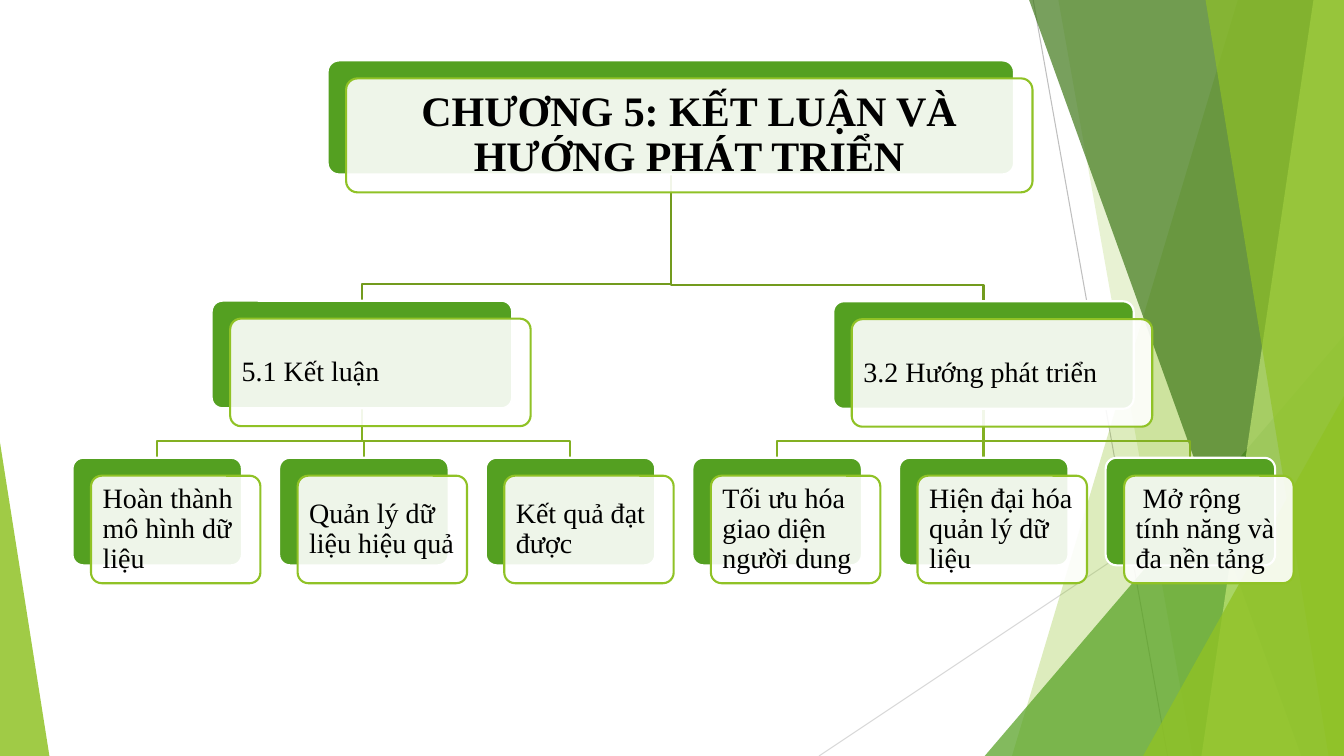
"""Build the chapter 5 outline slide: a three-level tree over a green faceted background."""
import pptx
import pptx.util
import pptx.dml.color
import pptx.enum.shapes
import pptx.enum.text
import pptx.oxml.ns
import lxml.etree

Pt = pptx.util.Pt
SHAPES = pptx.enum.shapes.MSO_SHAPE
STRAIGHT = pptx.enum.shapes.MSO_CONNECTOR.STRAIGHT
ALIGN = pptx.enum.text.PP_ALIGN
COLORS = {
    "white": "FFFFFF", "black": "000000", "lime": "90C226", "green": "54A021",
    "forest": "3F7819", "pale": "C0E474", "upper": "739B1E", "lower": "83B022",
    "grey": "BFBFBF", "light": "D9D9D9",
}


def paint(shape, fill=None, opacity=100, line=None, width=1.5):
    """Set the fill, its opacity and the outline of a shape or connector."""
    if line:
        shape.line.color.rgb = pptx.dml.color.RGBColor.from_string(COLORS[line])
        shape.line.width = Pt(width)
    else:
        shape.line.fill.background()
    if shape.shape_type == pptx.enum.shapes.MSO_SHAPE_TYPE.LINE:
        lxml.etree.SubElement(shape.element.spPr, pptx.oxml.ns.qn("a:effectLst"))
        return
    shape.shadow.inherit = False
    if not fill:
        shape.fill.background()
        return
    shape.fill.solid()
    shape.fill.fore_color.rgb = pptx.dml.color.RGBColor.from_string(COLORS[fill])
    if opacity < 100:
        color = shape.element.spPr.find(".//" + pptx.oxml.ns.qn("a:srgbClr"))
        alpha = lxml.etree.SubElement(color, pptx.oxml.ns.qn("a:alpha"))
        alpha.set("val", str(opacity * 1000))


def outline(points, close):
    """Add a freeform through points given in points."""
    corners = [(Pt(x), Pt(y)) for x, y in points]
    builder = slide.shapes.build_freeform(*corners[0])
    builder.add_line_segments(corners[1:], close=close)
    return builder.convert_to_shape()


presentation = pptx.Presentation()
presentation.slide_width, presentation.slide_height = Pt(960), Pt(540)
slide = presentation.slides.add_slide(presentation.slide_layouts[6])

for start_x, start_y, end_x, end_y, color in [
    (738, 0, 834, 540, "grey"),
    (960, 290, 585, 540, "light"),
]:
    ray = slide.shapes.add_connector(STRAIGHT, Pt(start_x), Pt(start_y), Pt(end_x), Pt(end_y))
    paint(ray, line=color, width=0.75)

facets = [
    ("band", 884.2, 722.9, "lime", 30),
    ("band", 756, 851.8, "lime", 20),
    ("triangle", (703.4, 239.8, 256.6, 300.2), 1, "green", 72),
    ("band", 735.1, 929.5, "forest", 70),
    ("band", 938.2, 858.2, "pale", 70),
    ("band", 861.1, 949, "lime", 65),
    ("triangle", (816.5, 283, 143.5, 257), 1, "lime", 80),
    ("triangle", (0, 316.1, 35.3, 223.9), 0, "lime", 85),
]
for kind, first, second, color, opacity in facets:
    if kind == "band":
        facet = outline([(first, 0), (960, 0), (960, 540), (second, 540)], True)
    else:
        facet = slide.shapes.add_shape(SHAPES.ISOSCELES_TRIANGLE, *map(Pt, first))
        facet.adjustments[0] = second
    paint(facet, color, opacity)

chapter = ("CHƯƠNG 5: KẾT LUẬN VÀ HƯỚNG PHÁT TRIỂN", 234, 43.2, 490.3, 81.4)
sections = [
    ("5.1 Kết luận", 151.2, 214.8, 214.6, 76.8),
    ("3.2 Hướng phát triển", 595.2, 215.2, 214.6, 76.8),
]
topic_labels = [
    "Hoàn thành mô hình dữ liệu", "Quản lý dữ liệu hiệu quả", "Kết quả đạt được",
    "Tối ưu hóa giao diện người dung", "Hiện đại hóa quản lý dữ liệu",
    " Mở rộng tính năng và đa nền tảng",
]
topics = [(label, 51.8 + 147.6 * i, 327, 121, 76.8) for i, label in enumerate(topic_labels)]

links = [(sections[i // 3], topics[i], "lower") for i in reversed(range(6))]
links += [(chapter, section, "upper") for section in sections]
for parent, child, color in links:
    parent_x, parent_bottom = parent[1] + parent[3] / 2, parent[2] + parent[4]
    child_x, child_top = child[1] + child[3] / 2, child[2]
    if abs(parent_x - child_x) < 0.8:
        link = slide.shapes.add_connector(
            STRAIGHT, Pt(parent_x), Pt(parent_bottom), Pt(parent_x), Pt(child_top))
    else:
        bar_y = child_top - 11.7
        link = outline([(parent_x, parent_bottom), (parent_x, bar_y),
                        (child_x, bar_y), (child_x, child_top)], False)
    paint(link, line=color)

for node in [chapter, sections[0], *topics[:3], sections[1], *topics[3:]]:
    label, left, top, width, height = node
    is_chapter = node is chapter
    for shift, fill, opacity, line in [(0, "green", 100, "white"), (1, "white", 90, "lime")]:
        box = slide.shapes.add_shape(
            SHAPES.ROUNDED_RECTANGLE,
            Pt(left + 13.2 * shift), Pt(top + 12.8 * shift), Pt(width), Pt(height))
        box.adjustments[0] = 0.1
        paint(box, fill, opacity, line)
    inset = Pt(8.64 if is_chapter else 6)
    frame_format = {
        "word_wrap": True, "vertical_anchor": pptx.enum.text.MSO_ANCHOR.MIDDLE,
        "margin_left": inset, "margin_right": inset,
        "margin_top": inset, "margin_bottom": inset,
    }
    for name, value in frame_format.items():
        setattr(box.text_frame, name, value)
    paragraph = box.text_frame.paragraphs[0]
    paragraph.text = label
    paragraph.alignment = ALIGN.CENTER if is_chapter else ALIGN.LEFT
    paragraph.line_spacing = 0.9
    font_format = {
        "name": "Times New Roman", "size": Pt(30 if is_chapter else 20), "bold": is_chapter,
    }
    for name, value in font_format.items():
        setattr(paragraph.runs[0].font, name, value)
    paragraph.runs[0].font.color.rgb = pptx.dml.color.RGBColor.from_string(COLORS["black"])

presentation.save("out.pptx")
